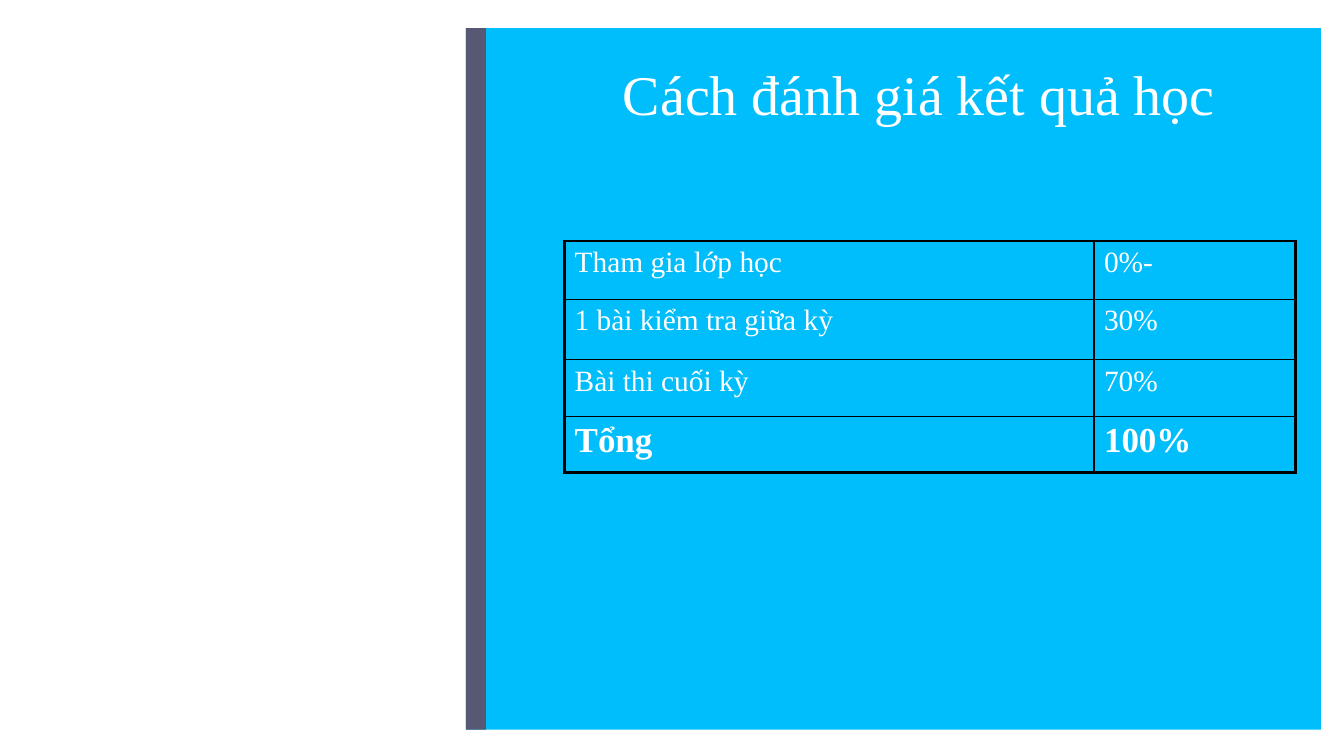
from lxml import etree
from pptx import Presentation
from pptx import util as u
from pptx.dml.color import RGBColor
from pptx.enum import shapes, text
from pptx.oxml.ns import qn

WHITE, BLACK, SKY, SLATE = "FFFFFF", "000000", "00BDFB", "565874"
THIN, THICK = 1, 2.25


def rgb(value):
    return RGBColor.from_string(value)


class SlideBuilder:
    font = "Times New Roman"

    def __init__(self, slide):
        self.slide = slide

    def add_text(self, tf, content, **fmt):
        p = tf.paragraphs[0]
        r = p.add_run()
        r.text = content
        for name, value in {"name": self.font, **fmt}.items():
            setattr(r.font, name, value)
        r.font.color.rgb = rgb(WHITE)
        return p

    def rect(self, left, top, width, height, fill):
        sp = self.slide.shapes.add_shape(
            shapes.MSO_SHAPE.RECTANGLE, *map(u.Inches, (left, top, width, height)))
        sp.shadow.inherit = False
        sp.fill.solid()
        sp.fill.fore_color.rgb = rgb(fill)
        sp.line.fill.background()

    def title(self, left, top, width, height, content):
        sp = self.slide.shapes.add_textbox(*map(u.Inches, (left, top, width, height)))
        tf = sp.text_frame
        tf.word_wrap = True
        tf.vertical_anchor = text.MSO_ANCHOR.TOP
        self.add_text(tf, content, size=u.Pt(40)).line_spacing = 0.9

    def borders(self, cell, widths):
        """Draw left, right, top and bottom edges, placed ahead of the cell fill."""
        tc_pr = cell._tc.get_or_add_tcPr()
        for i, (side, width) in enumerate(zip("LRTB", widths)):
            ln = etree.Element(qn(f"a:ln{side}"), w=str(u.Pt(width)))
            fill = etree.SubElement(ln, qn("a:solidFill"))
            etree.SubElement(fill, qn("a:srgbClr"), val=BLACK)
            tc_pr.insert(i, ln)

    def table(self, left, top, col_widths, row_heights, rows):
        """Add a grid with a thick outline and a bold last row."""
        last_row, last_col = len(rows) - 1, len(col_widths) - 1
        frame = self.slide.shapes.add_table(
            len(rows), len(col_widths), u.Inches(left), u.Inches(top),
            u.Inches(sum(col_widths)), u.Inches(sum(row_heights)))
        table = frame.table
        table.first_row = table.horz_banding = False
        for column, width in zip(table.columns, col_widths):
            column.width = u.Inches(width)
        for row, height in zip(table.rows, row_heights):
            row.height = u.Inches(height)
        for i, row in enumerate(rows):
            total = i == last_row
            for j, content in enumerate(row):
                cell = table.cell(i, j)
                cell.fill.background()
                self.add_text(cell.text_frame, content,
                              size=u.Pt(25 if total else 21), bold=total)
                outer = (j == 0, j == last_col, i == 0, total)
                self.borders(cell, [THICK if edge else THIN for edge in outer])


def main():
    prs = Presentation()
    prs.slide_width, prs.slide_height = u.Inches(13.33), u.Inches(7.5)
    s = SlideBuilder(prs.slides.add_slide(prs.slide_layouts[6]))
    s.rect(4.62, 0.28, 8.48, 6.96, SKY)
    s.rect(4.62, 0.28, 0.2, 6.96, SLATE)
    s.title(6.08, 0.62, 7, 1.25, "Cách đánh giá kết quả học")
    s.table(5.6, 2.39, [5.25, 2], [0.58, 0.6, 0.56, 0.56], [
        ("Tham gia lớp học", "0%-"),
        ("1 bài kiểm tra giữa kỳ", "30%"),
        ("Bài thi cuối kỳ", "70%"),
        ("Tổng", "100%"),
    ])
    prs.save("out.pptx")


if __name__ == "__main__":
    main()
